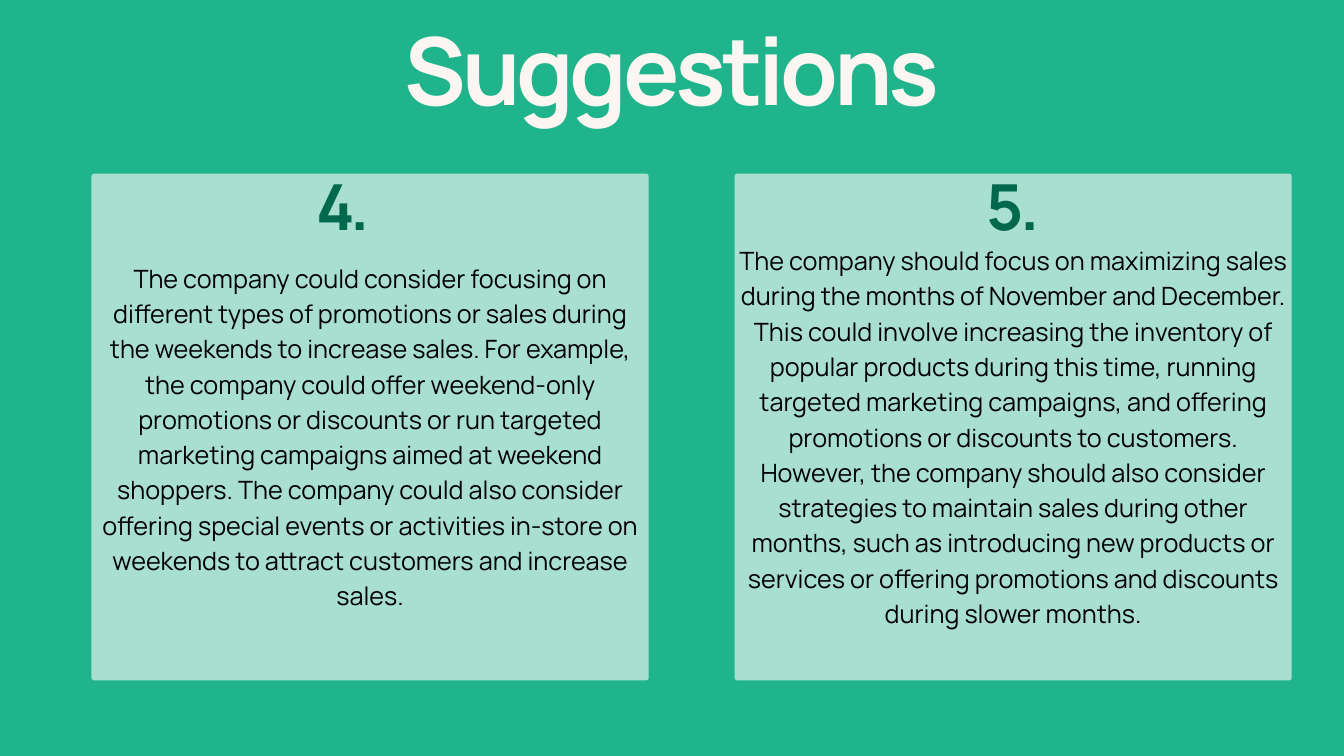
from pptx import Presentation
from pptx.dml.color import RGBColor
from pptx.enum.shapes import MSO_SHAPE
from pptx.enum.text import MSO_ANCHOR, MSO_AUTO_SIZE, PP_ALIGN
from pptx.util import Pt
from lxml.etree import SubElement
from pptx.oxml.ns import qn

# Content: number, left edge of its box, text
TITLE = "Suggestions"
CARDS = [
    ("4.", 272.2,
     "The company could consider focusing on different types of promotions or "
     "sales during the weekends to increase sales. For example, the company "
     "could offer weekend-only promotions or discounts or run targeted "
     "marketing campaigns aimed at weekend shoppers. The company could also "
     "consider offering special events or activities in-store on weekends to "
     "attract customers and increase sales."),
    ("5.", 990,
     "The company should focus on maximizing sales during the months of "
     "November and December. This could involve increasing the inventory of "
     "popular products during this time, running targeted marketing campaigns, "
     "and offering promotions or discounts to customers. However, the company "
     "should also consider strategies to maintain sales during other months, "
     "such as introducing new products or services or offering promotions and "
     "discounts during slower months."),
]

# Theme: colours and type (size, line height, tracking)
THEME = {
    "font": "Manrope",
    "back": RGBColor.from_string("20B48C"),
    "card": RGBColor.from_string("A9DFD0"),
    "title": dict(size=100.4, line=90.4, track=-4.6, bold=True, color="FBF6F1"),
    "number": dict(size=68, line=61.2, track=-3.1, bold=True, color="00694C"),
    "body": dict(size=27, line=37.8, track=0, bold=False, color="000000"),
}

# Layout
LEFT, TOP, WIDE, HIGH = 98, 186, 597, 543
STEP = 689
RADIUS = 3


def place(shape, box):
    for name, val in zip(("left", "top", "width", "height"), box):
        setattr(shape, name, Pt(val))


def write(shape, text, kind, box, anchor=MSO_ANCHOR.TOP, inset=0):
    style = THEME[kind]
    place(shape, box)
    frame = shape.text_frame
    frame.text = text
    form = dict(word_wrap=True, auto_size=MSO_AUTO_SIZE.NONE,
                vertical_anchor=anchor)
    for side in ("left", "top", "right", "bottom"):
        form["margin_" + side] = Pt(inset)
    for name, val in form.items():
        setattr(frame, name, val)

    para = frame.paragraphs[0]
    form = dict(alignment=PP_ALIGN.CENTER, line_spacing=Pt(style["line"]),
                space_before=Pt(0), space_after=Pt(0))
    for name, val in form.items():
        setattr(para, name, val)
    props = para._p.get_or_add_pPr()
    props.set("marL", "0")
    props.set("indent", "0")
    SubElement(props, qn("a:buNone"))

    run = para.runs[0]
    form = dict(name=THEME["font"], size=Pt(style["size"]), bold=style["bold"])
    for name, val in form.items():
        setattr(run.font, name, val)
    run.font.color.rgb = RGBColor.from_string(style["color"])
    run._r.get_or_add_rPr().set("spc", str(round(style["track"] * 100)))


def add_card(slide, left):
    card = slide.shapes.add_shape(
        MSO_SHAPE.ROUNDED_RECTANGLE, Pt(left), Pt(TOP), Pt(WIDE), Pt(HIGH))
    card.adjustments[0] = RADIUS / HIGH
    card.shadow.inherit = False
    card.fill.solid()
    card.fill.fore_color.rgb = THEME["card"]
    card.line.fill.background()
    # Send the panel behind the text
    slide.shapes.element.insert(2, card.element)


def main():
    deck = Presentation()
    deck.slide_width, deck.slide_height = Pt(1440), Pt(810)
    # Comparison layout: a title and two pairs of heading and body
    slide = deck.slides.add_slide(deck.slide_layouts[4])
    slide.background.fill.solid()
    slide.background.fill.fore_color.rgb = THEME["back"]
    holders = {item.placeholder_format.idx: item for item in slide.placeholders}

    write(holders[0], TITLE, "title", (88.5, 42.5, 1263, 98.6))
    for col, (num, edge, text) in enumerate(CARDS):
        left = LEFT + col * STEP
        add_card(slide, left)
        write(holders[2 * col + 1], num, "number", (edge, 199.5, 190.8, 67.7))
        write(holders[2 * col + 2], text, "body", (left, 250, WIDE, 431),
              MSO_ANCHOR.MIDDLE, 4)
    deck.save("out.pptx")


if __name__ == "__main__":
    main()
